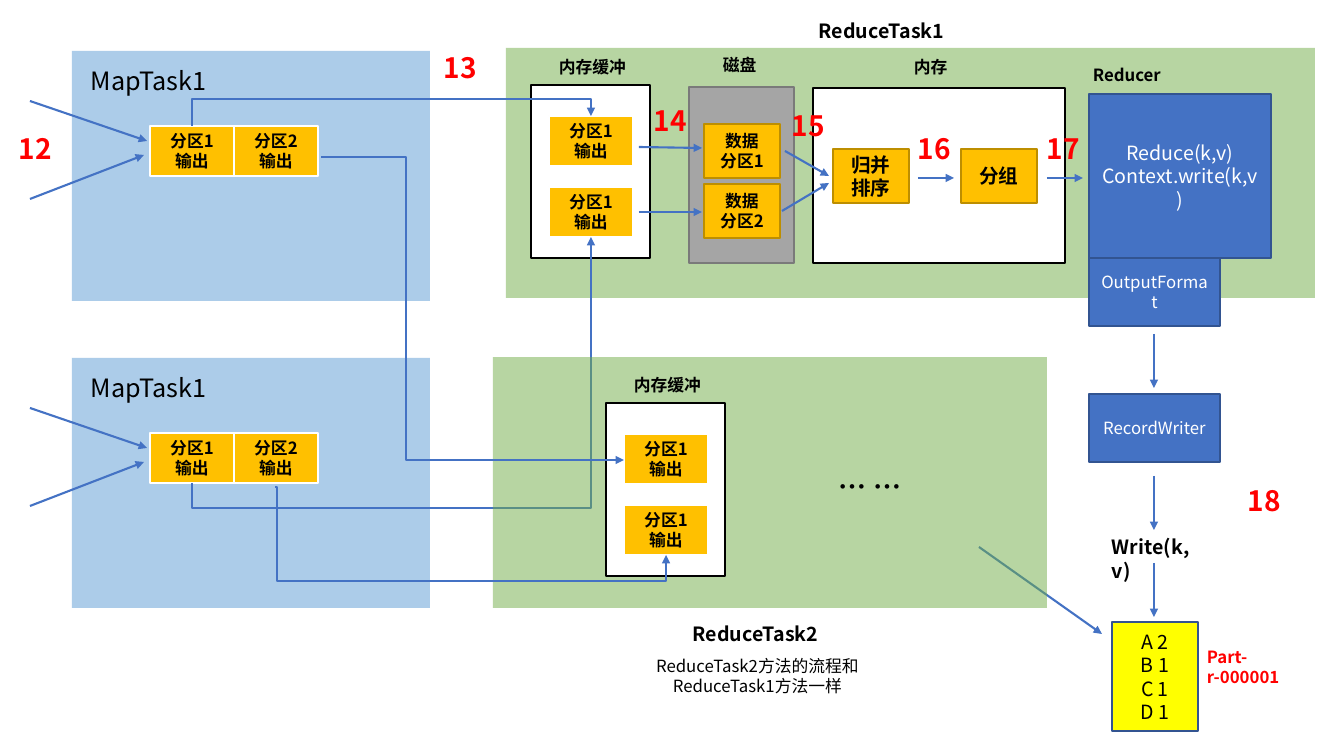
"""Build the MapReduce shuffle and reduce flow slide."""
from dataclasses import dataclass

from lxml.etree import SubElement
from pptx import Presentation
from pptx.dml.color import RGBColor
from pptx.enum.shapes import MSO_CONNECTOR as Link, MSO_SHAPE as Preset
from pptx.enum.text import MSO_ANCHOR as Anchor, PP_ALIGN as Align
from pptx.oxml.ns import qn
from pptx.util import Pt

PIXEL = 914400 / 100.8


@dataclass(frozen=True)
class Theme:
    face: str = "Noto Sans CJK SC"
    black: str = "000000"
    white: str = "FFFFFF"
    red: str = "FF0000"
    blue: str = "4472C4"
    navy: str = "325491"
    sky: str = "5B9BD5"
    green: str = "70AD47"
    amber: str = "FFC000"
    ochre: str = "BD8E00"
    gray: str = "A5A5A5"
    slate: str = "7A7A7A"
    yellow: str = "FFFF00"
    small: int = 12
    medium: int = 14
    large: int = 18
    huge: int = 20
    hairline: float = 1
    stroke: float = 1.5


theme = Theme()
bold = {"size": Pt(theme.small), "bold": True}
heading = {"size": Pt(theme.medium), "bold": True}
number = {"size": Pt(theme.huge), "bold": True}
small = {"size": Pt(theme.small)}
medium = {"size": Pt(theme.medium)}
large = {"size": Pt(theme.large)}
cell = {"fill": theme.amber, "edge": theme.white, "width": theme.stroke, "font": bold}
step = {"fill": theme.amber, "edge": theme.ochre, "font": bold}
frame = {"fill": theme.white, "edge": theme.black}
writer = {"fill": theme.blue, "edge": theme.navy, "color": theme.white, "font": small}

deck = Presentation()
deck.slide_width, deck.slide_height = round(1344 * PIXEL), round(756 * PIXEL)
page = deck.slides.add_slide(deck.slide_layouts[6])


def put(area, text="", fill=None, edge=None, width=theme.hairline, alpha=None,
        color=theme.black, font=small, align=None):
    """Add a filled box, or a plain text box when there is no fill."""
    place = [round(length * PIXEL) for length in area]
    if fill:
        box = page.shapes.add_shape(Preset.RECTANGLE, *place)
        box.shadow.inherit = False
        box.fill.solid()
        box.fill.fore_color.rgb = RGBColor.from_string(fill)
        if alpha:
            tint = box._element.spPr.find(".//" + qn("a:srgbClr"))
            SubElement(tint, qn("a:alpha"), val=str(alpha * 1000))
        if edge:
            box.line.color.rgb = RGBColor.from_string(edge)
            box.line.width = Pt(width)
        else:
            box.line.fill.background()
    else:
        box = page.shapes.add_textbox(*place)
    if not text:
        return
    frame_text = box.text_frame
    frame_text.word_wrap = True
    frame_text.vertical_anchor = Anchor.MIDDLE if fill else Anchor.TOP
    for index, line in enumerate(text.split("\n")):
        para = frame_text.add_paragraph() if index else frame_text.paragraphs[0]
        para.alignment = align or (Align.CENTER if fill else Align.LEFT)
        span = para.add_run()
        span.text = line
        for name, value in {**font, "name": theme.face}.items():
            setattr(span.font, name, value)
        span.font.color.rgb = RGBColor.from_string(color)
        SubElement(span.font._element, qn("a:ea"), typeface=theme.face)


def arrow(start, end, bends=(), turned=False):
    """Add an arrow; bends are pixel positions of its middle legs."""
    (x1, y1), (x2, y2) = start, end
    origins, spans = (x1, y1), (x2 - x1, y2 - y1)
    if turned:
        origins, spans = origins[::-1], spans[::-1]
        middle_x, middle_y = (x1 + x2) / 2, (y1 + y2) / 2
        half_width, half_height = abs(y2 - y1) / 2, abs(x2 - x1) / 2
        x1, y1 = middle_x + half_width, middle_y + half_height
        x2, y2 = middle_x - half_width, middle_y - half_height
    ends = [round(length * PIXEL) for length in (x1, y1, x2, y2)]
    link = page.shapes.add_connector(Link.ELBOW if bends else Link.STRAIGHT, *ends)
    link.line.color.rgb = RGBColor.from_string(theme.blue)
    link.line.width = Pt(theme.stroke)
    parts = link._element.spPr
    SubElement(parts.find(qn("a:ln")), qn("a:tailEnd"), type="triangle")
    SubElement(parts, qn("a:effectLst"))
    if turned:
        parts.find(qn("a:xfrm")).set("rot", "5400000")
    if bends:
        shape = parts.find(qn("a:prstGeom"))
        shape.set("prst", f"bentConnector{len(bends) + 2}")
        for index, bend in enumerate(bends):
            ratio = (bend - origins[index]) / spans[index]
            SubElement(shape.find(qn("a:avLst")), qn("a:gd"),
                       name=f"adj{index + 1}", fmla=f"val {round(ratio * 100000)}")


for top in (51, 358):
    put((72, top, 358, 250), fill=theme.sky, alpha=50)
    put((81, top + 9, 143, 40), "MapTask1", font=large)
    for part in (1, 2):
        put((66 + 84 * part, top + 75, 84, 50), f"分区{part}\n输出", **cell)
    arrow((30, top + 50), (147, top + 90))
    arrow((30, top + 148), (144, top + 104))

reduce_tasks = [
    ((506, 48, 809, 250), 531, 85, [
        ((192, 126), (591, 116), (99,), True),
        ((192, 483), (591, 237), (508,), True),
        ((979, 547), (1102, 634)),
    ]),
    ((493, 357, 554, 251), 606, 403, [
        ((321, 157), (624, 460), (406,)),
        ((275, 487), (666, 555), (277, 581)),
    ]),
]
for panel, left, top, routes in reduce_tasks:
    put(panel, fill=theme.green, alpha=50)
    put((left, top, 119, 173), **frame)
    put((left + 18, top - 33, 100, 30), "内存缓冲", font=bold)
    for drop in (31, 102):
        put((left + 18, top + drop, 84, 50), "分区1\n输出", **cell)
    for route in routes:
        arrow(*route)

put((689, 87, 105, 176), fill=theme.gray, edge=theme.slate)
put((813, 88, 252, 175), **frame)
for part in (1, 2):
    put((704, 64 + 60 * part, 76, 54), f"数据\n分区{part}", **step)
for left, name in ((833, "归并排序"), (961, "分组")):
    put((left, 149, 76, 54), name, **{**step, "font": heading})

put((1089, 94, 182, 164), "Reduce(k,v)\nContext.write(k,v)", **{**writer, "font": medium})
put((1089, 258, 131, 68), "OutputFormat", **writer)
put((1089, 394, 131, 68), "RecordWriter", **writer)
put((1112, 622, 86, 109), "A 2\nB 1\nC 1\nD 1", fill=theme.yellow, edge=theme.navy, font=medium)

for area, text, font in [
    ((713, 50, 70, 30), "磁盘", bold),
    ((904, 52, 100, 30), "内存", bold),
    ((1083, 60, 100, 30), "Reducer", bold),
    ((1102, 530, 105, 34), "Write(k,v)", heading),
    ((829, 465, 113, 44), "… …", number),
]:
    put(area, text, font=font)

for area, text, font in [
    ((785, 14, 193, 34), "ReduceTask1", heading),
    ((659, 617, 193, 34), "ReduceTask2", heading),
    ((624, 651, 267, 50), "ReduceTask2方法的流程和ReduceTask1方法一样", small),
]:
    put(area, text, font=font, align=Align.CENTER)

number_spots = [(9, 127), (434, 46), (644, 99), (782, 104), (908, 127), (1037, 127), (1238, 479)]
for value, (left, top) in enumerate(number_spots, 12):
    put((left, top, 69, 44), str(value), font=number, color=theme.red)
put((1197, 642, 131, 30), "Part-r-000001", font=bold, color=theme.red)

for start, end in [
    ((639, 147), (702, 148)),
    ((639, 212), (702, 212)),
    ((785, 151), (829, 176)),
    ((782, 211), (829, 183)),
    ((918, 178), (954, 178)),
    ((1047, 178), (1083, 178)),
]:
    arrow(start, end)
for top in (334, 476, 563):
    arrow((1154, top), (1154, top + 54))

deck.save("out.pptx")
